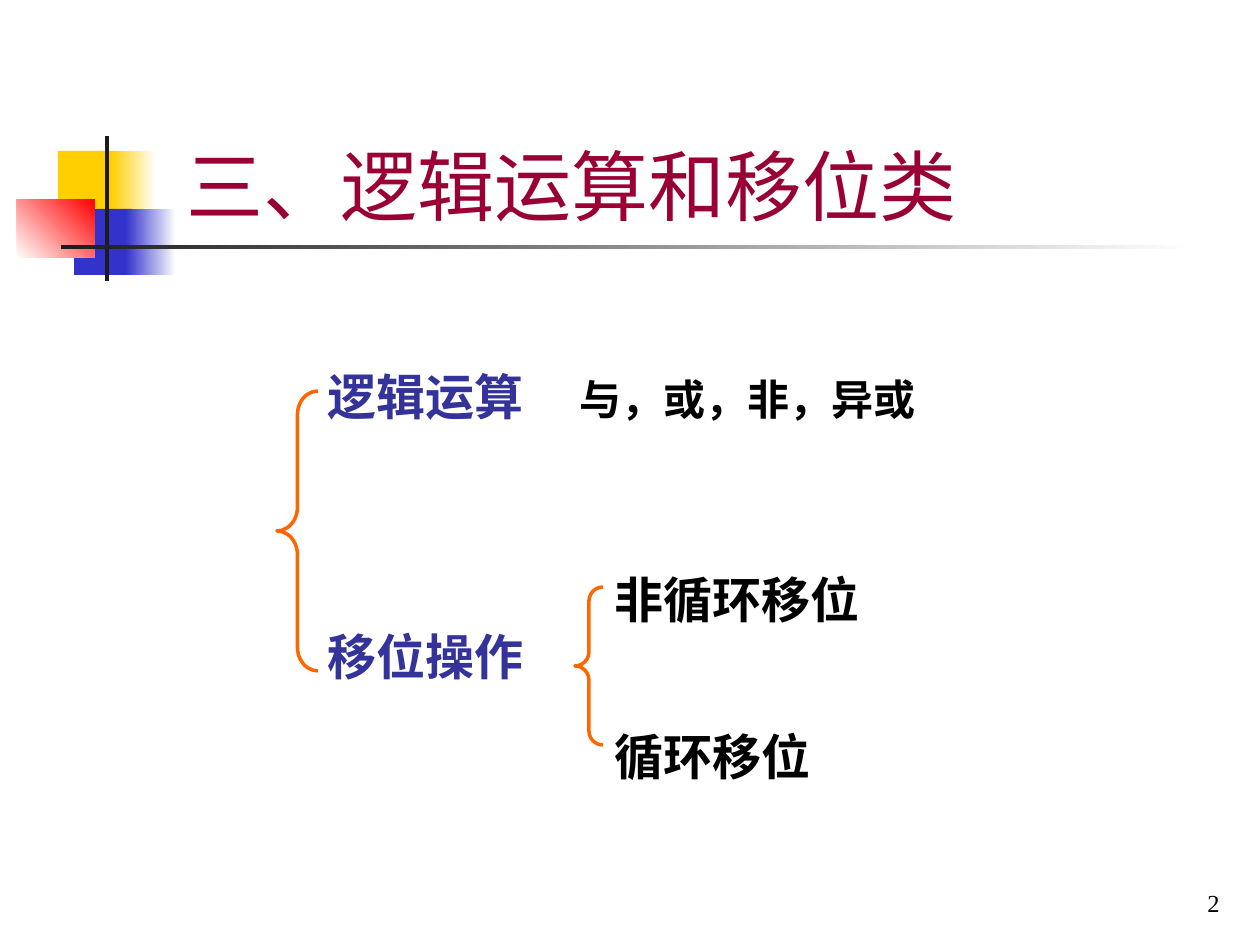
import pptx
import pptx.dml.color
import pptx.enum.shapes
import pptx.enum.text
import pptx.oxml.ns
import pptx.util
from lxml import etree

PX = 914400 // 126
SHAPES = pptx.enum.shapes.MSO_SHAPE
ALIGN = pptx.enum.text.PP_ALIGN
ANCHOR = pptx.enum.text.MSO_ANCHOR


def color(value):
    return pptx.dml.color.RGBColor.from_string(value)


class SlideBuilder:
    font_name = "Times New Roman"
    background = "FFFFFF"
    brace_color = "FF6600"

    def __init__(self, slide):
        self.slide = slide

    def preset(self, kind, box):
        shape = self.slide.shapes.add_shape(kind, *(length * PX for length in box))
        shape.shadow.inherit = False
        return shape

    def block(self, box, fill):
        shape = self.preset(SHAPES.RECTANGLE, box)
        shape.fill.solid()
        shape.fill.fore_color.rgb = color(fill)
        shape.line.fill.background()

    def fade(self, box, start, end, angle=0):
        shape = self.preset(SHAPES.RECTANGLE, box)
        shape.fill.gradient()
        shape.fill.gradient_angle = angle
        for stop, value in zip(shape.fill.gradient_stops, (start, end)):
            stop.color.rgb = color(value)
        shape.line.fill.background()

    def brace(self, box, curve):
        shape = self.preset(SHAPES.LEFT_BRACE, box)
        shape.adjustments[0] = curve
        shape.fill.background()
        shape.line.color.rgb = color(self.brace_color)
        shape.line.width = pptx.util.Pt(2)

    def text_box(self, box, anchor=ANCHOR.TOP):
        shape = self.slide.shapes.add_textbox(*(length * PX for length in box))
        text_frame = shape.text_frame
        text_frame.word_wrap = True
        text_frame.vertical_anchor = anchor
        return text_frame

    def add_text(self, paragraph, pieces, bold=True):
        """Add (text, size, colour) pieces to a paragraph."""
        for text, size, value in pieces:
            run = paragraph.add_run()
            run.text = text
            run.font.name = self.font_name
            run.font.size = pptx.util.Pt(size)
            run.font.bold = bold
            run.font.color.rgb = color(value)

    def tab_stop(self, paragraph, position):
        qn = pptx.oxml.ns.qn
        properties = paragraph._p.get_or_add_pPr()
        tabs = etree.SubElement(properties, qn("a:tabLst"))
        etree.SubElement(tabs, qn("a:tab"), pos=str(position * PX), algn="l")


def main():
    presentation = pptx.Presentation()
    presentation.slide_width = pptx.util.Inches(10)
    presentation.slide_height = pptx.util.Inches(7.5)
    slide = presentation.slides.add_slide(presentation.slide_layouts[6])
    builder = SlideBuilder(slide)
    white = builder.background

    # Corner decoration and title rule
    builder.block((58, 151, 60, 66), "FFCF01")
    builder.fade((111, 151, 45, 66), "FFCF01", white)
    builder.block((74, 209, 58, 66), "3333CC")
    builder.fade((126, 209, 50, 66), "3333CC", white)
    builder.fade((17, 199, 78, 59), white, "FF0000", angle=45)
    builder.block((105, 136, 4, 145), "1C1C1C")
    builder.fade((61, 245, 1134, 4), "1C1C1C", white)

    # Title
    title = builder.text_box((174, 106, 799, 131), ANCHOR.BOTTOM)
    builder.add_text(title.paragraphs[0], [("三、逻辑运算和移位类", 44, "990033")], bold=False)

    # Operation classes
    classes = builder.text_box((315, 354, 712, 354))
    logic = classes.paragraphs[0]
    logic.line_spacing = 1.1
    builder.tab_stop(logic, 252)
    builder.add_text(logic, [("逻辑运算\t", 28, "333399"), ("与，或，非，异或", 24, "000000")])
    shift = classes.add_paragraph()
    shift.line_spacing = 1.15
    shift.space_before = pptx.util.Pt(110)
    builder.add_text(shift, [("移位操作", 28, "333399")])

    # Kinds of shift
    kinds = builder.text_box((602, 563, 325, 222))
    builder.add_text(kinds.paragraphs[0], [("非循环移位", 28, "000000")])
    rotate = kinds.add_paragraph()
    rotate.space_before = pptx.util.Pt(56)
    builder.add_text(rotate, [("循环移位", 28, "000000")])

    # Braces
    builder.brace((277, 391, 41, 280), 0.58)
    builder.brace((575, 587, 28, 158), 0.5)

    # Slide number
    number = builder.text_box((970, 861, 262, 63), ANCHOR.BOTTOM)
    number.paragraphs[0].alignment = ALIGN.RIGHT
    builder.add_text(number.paragraphs[0], [("2", 14, "000000")], bold=False)

    presentation.save("out.pptx")


if __name__ == "__main__":
    main()
